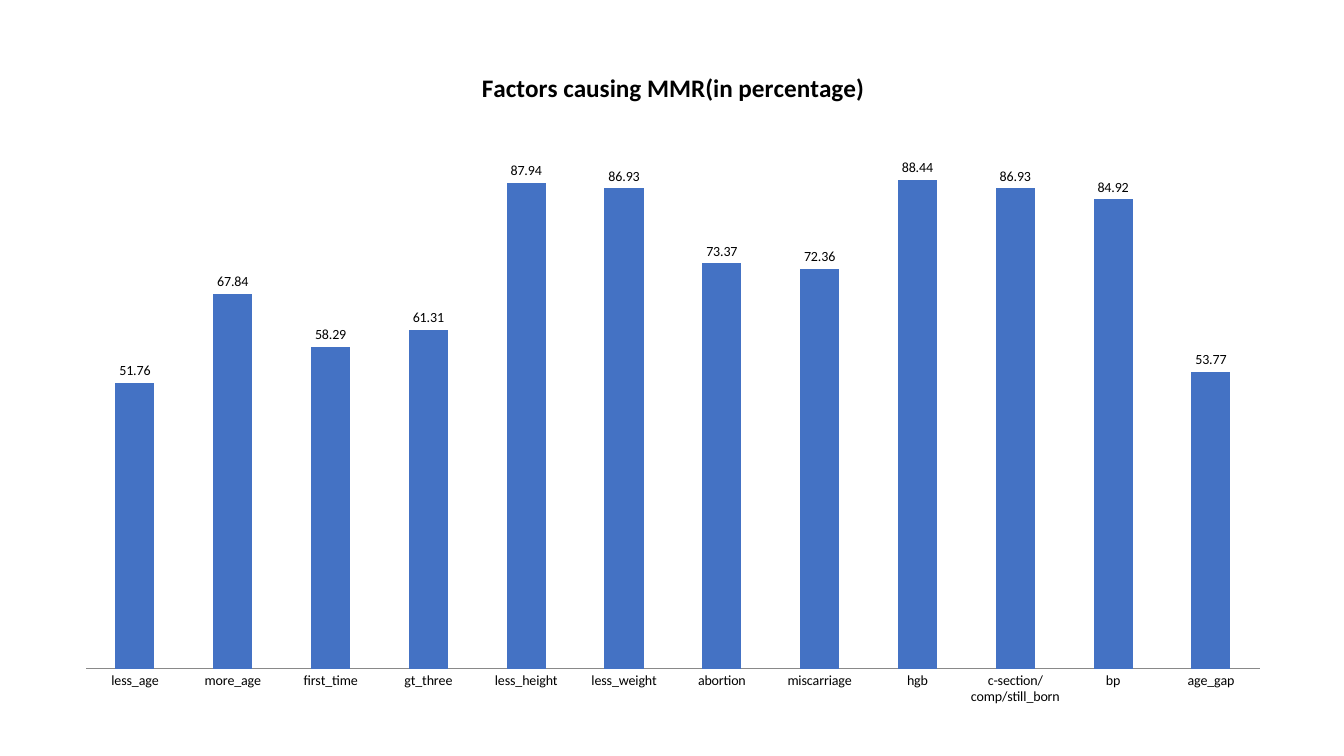
from lxml import etree
from pptx import Presentation
from pptx.chart.data import CategoryChartData
from pptx.dml.color import RGBColor
from pptx.enum.chart import XL_CHART_TYPE, XL_LABEL_POSITION, XL_TICK_MARK
from pptx.oxml.ns import qn
from pptx.util import Pt

COLUMN = XL_CHART_TYPE.COLUMN_CLUSTERED
OUTSIDE_END = XL_LABEL_POSITION.OUTSIDE_END
NO_TICK = XL_TICK_MARK.NONE

FACTORS = {
    "less_age": 51.76,
    "more_age": 67.84,
    "first_time": 58.29,
    "gt_three": 61.31,
    "less_height": 87.94,
    "less_weight": 86.93,
    "abortion": 73.37,
    "miscarriage": 72.36,
    "hgb": 88.44,
    "c-section/comp/still_born": 86.93,
    "bp": 84.92,
    "age_gap": 53.77,
}


def rgb(hex_color):
    return RGBColor.from_string(hex_color)


def style_font(font, size, color, name, bold=False):
    font.size = Pt(size)
    font.bold = bold
    font.name = name
    font.color.rgb = rgb(color)


def add_text(tf, text, **fmt):
    r = tf.paragraphs[0].add_run()
    r.text = text
    style_font(r.font, **fmt)


def place(element, index, **fractions):
    """Set a manual layout, in fractions of the chart area."""
    for old in element.findall(qn("c:layout")):
        element.remove(old)
    layout = etree.Element(qn("c:layout"))
    element.insert(index, layout)
    manual = etree.SubElement(layout, qn("c:manualLayout"))
    if "w" in fractions:
        etree.SubElement(manual, qn("c:layoutTarget")).set("val", "inner")
    for axis in "xy":
        etree.SubElement(manual, qn(f"c:{axis}Mode")).set("val", "edge")
    for key, value in fractions.items():
        etree.SubElement(manual, qn(f"c:{key}")).set("val", str(value))


class SlideBuilder:
    font = "Calibri"
    text = "000000"
    bar = "4472C4"
    axis = "898989"

    def __init__(self, slide):
        self.s = slide

    def column_chart(self, title, values, left, top, width, height):
        data = CategoryChartData(number_format="0.00")
        data.categories = list(values)
        data.add_series("Series 1", list(values.values()))
        chart = self.s.shapes.add_chart(
            COLUMN, Pt(left), Pt(top), Pt(width), Pt(height), data).chart
        chart.has_legend = False
        style_font(chart.font, 10, self.text, self.font)

        # Title
        chart.has_title = True
        heading = chart.chart_title
        add_text(heading.text_frame, title, size=18, color=self.text,
                 name=self.font, bold=True)
        heading.include_in_layout = False
        place(heading._element, 1, x=0.34, y=0.04)

        # Axes
        cat = chart.category_axis
        cat.major_tick_mark = cat.minor_tick_mark = NO_TICK
        cat.has_major_gridlines = False
        cat.format.line.color.rgb = rgb(self.axis)
        cat.format.line.width = Pt(0.75)
        val = chart.value_axis
        val.minimum_scale, val.maximum_scale = 0, 100
        val.has_major_gridlines = False
        val.visible = False

        # Columns and value labels
        plot = chart.plots[0]
        plot.gap_width = 150
        plot.vary_by_categories = False
        fill = plot.series[0].format.fill
        fill.solid()
        fill.fore_color.rgb = rgb(self.bar)
        labels = plot.series[0].data_labels
        labels.show_value = True
        labels.number_format = "0.00"
        labels.number_format_is_linked = False
        labels.position = OUTSIDE_END
        style_font(labels.font, 10, self.text, self.font)
        plot_area = chart._chartSpace.chart.plotArea
        place(plot_area, 0, x=0.02, y=0.114, w=0.96, h=0.813)


def main():
    prs = Presentation()
    prs.slide_width, prs.slide_height = Pt(960), Pt(540)
    blank = prs.slide_layouts[6]
    builder = SlideBuilder(prs.slides.add_slide(blank))
    builder.column_chart("Factors causing MMR(in percentage)", FACTORS,
                         44, 27.4, 873.4, 486)
    prs.save("out.pptx")


if __name__ == "__main__":
    main()
